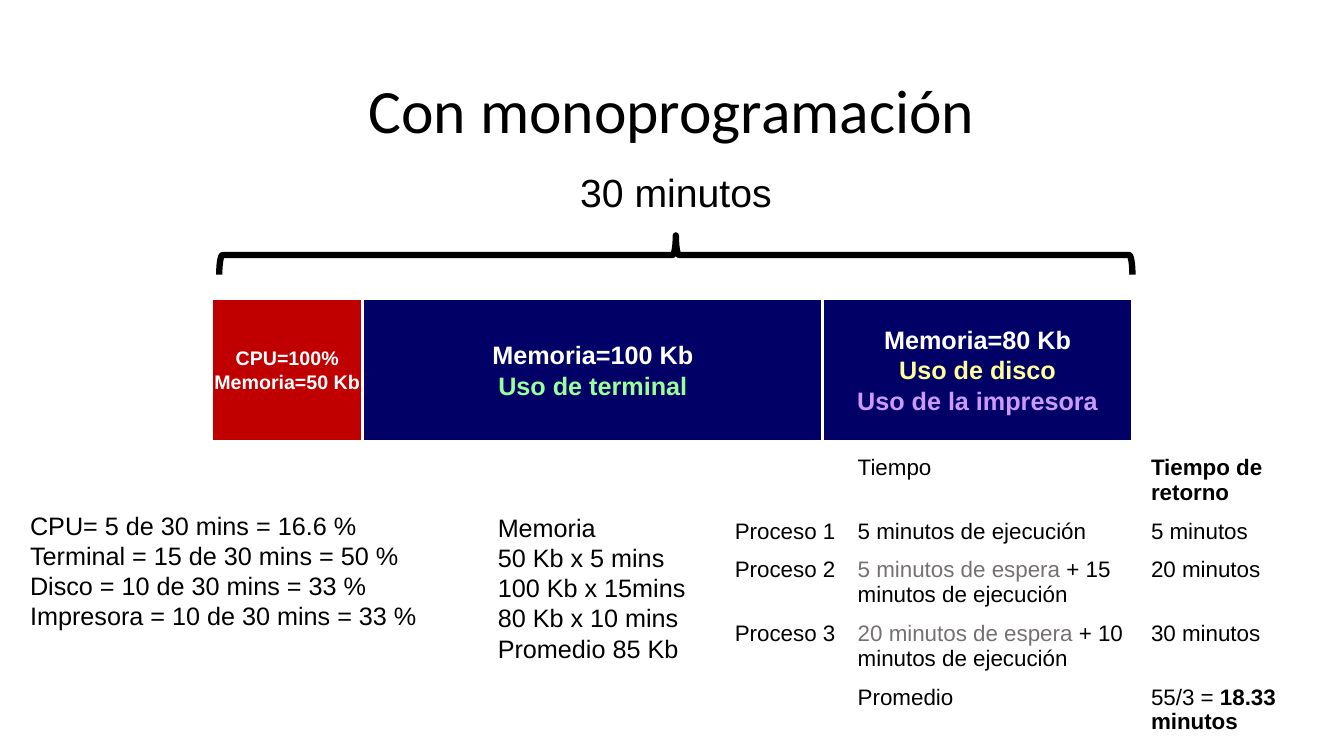
from pptx import Presentation
from pptx.dml.color import RGBColor
from pptx.enum.shapes import MSO_SHAPE
from pptx.enum.text import MSO_ANCHOR, MSO_AUTO_SIZE, PP_ALIGN
from pptx.util import Pt

RECT, BRACE = MSO_SHAPE.RECTANGLE, MSO_SHAPE.RIGHT_BRACE
LEFT, CENTER = PP_ALIGN.LEFT, PP_ALIGN.CENTER
MIDDLE, GROW = MSO_ANCHOR.MIDDLE, MSO_AUTO_SIZE.SHAPE_TO_FIT_TEXT
BLACK, WHITE, RED, NAVY, GRAY = "000000", "FFFFFF", "C00000", "000066", "767171"

BAR_LEFT, BAR_TOP, BAR_HEIGHT = 151.2, 213.1, 102.2
BARS = [
    (108, RED, 14, [("CPU=100%", WHITE), ("Memoria=50 Kb", WHITE)]),
    (328.6, NAVY, 18, [("Memoria=100 Kb", WHITE), ("Uso de terminal", "99FF99")]),
    (221, NAVY, 18, [("Memoria=80 Kb", WHITE), ("Uso de disco", "FFFF99"),
                     ("Uso de la impresora", "CC99FF")]),
]
USAGE = ["CPU= 5 de 30 mins = 16.6 %", "Terminal = 15 de 30 mins = 50 %",
         "Disco = 10 de 30 mins = 33 %", "Impresora = 10 de 30 mins = 33 %"]
MEMORY = ["Memoria", "50 Kb x 5 mins", "100 Kb x 15mins", "80 Kb x 10 mins",
          "Promedio 85 Kb"]
TIMES = [
    ["", "Tiempo", [("Tiempo de retorno", BLACK, True)]],
    ["Proceso 1", "5 minutos de ejecución", "5 minutos"],
    ["Proceso 2", [("5 minutos de espera", GRAY, False),
                   (" + 15 minutos de ejecución", BLACK, False)], "20 minutos"],
    ["Proceso 3", [("20 minutos de espera", GRAY, False),
                   (" + 10 minutos de ejecución", BLACK, False)], "30 minutos"],
    ["", "Promedio", [("55/3 = ", BLACK, False), ("18.33 minutos", BLACK, True)]],
]


def rgb(color):
    """Turn a hex string into a colour."""
    return RGBColor.from_string(color)


class Deck:
    """Hold the text style and the current slide."""

    font = "Arial"

    def __init__(self, width, height):
        """Open a presentation with one title-only slide."""
        self.prs = Presentation()
        self.prs.slide_width, self.prs.slide_height = Pt(width), Pt(height)
        self.s = self.prs.slides.add_slide(self.prs.slide_layouts[5])

    def style(self, r, size, color=BLACK, bold=False, font=None):
        """Format one run."""
        r.font.name, r.font.size, r.font.bold = font or self.font, Pt(size), bold
        r.font.color.rgb = rgb(color)

    def title(self, text, x, y, w, h):
        """Place and format the title placeholder."""
        sp = self.s.shapes.title
        sp.left, sp.top, sp.width, sp.height = Pt(x), Pt(y), Pt(w), Pt(h)
        tf = sp.text_frame
        tf.text, tf.vertical_anchor = text, MIDDLE
        p = tf.paragraphs[0]
        p.alignment, p.line_spacing = CENTER, 0.9
        self.style(p.runs[0], 44, font="Calibri")

    def lines(self, tf, lines, size, align, bold=False):
        """Write one paragraph per pair of text and colour."""
        tf.text = "\n".join(text for text, _ in lines)
        for p, (_, color) in zip(tf.paragraphs, lines):
            p.alignment = align
            self.style(p.runs[0], size, color, bold)

    def text(self, lines, x, y, w, h, size=18, align=LEFT, wrap=False):
        """Add a text box."""
        tf = self.s.shapes.add_textbox(Pt(x), Pt(y), Pt(w), Pt(h)).text_frame
        tf.word_wrap, tf.auto_size = wrap, GROW
        self.lines(tf, [(line, BLACK) for line in lines], size, align)

    def shape(self, kind, x, y, w, h, line, weight, fill=None):
        """Add a preset shape with an outline."""
        sp = self.s.shapes.add_shape(kind, Pt(x), Pt(y), Pt(w), Pt(h))
        sp.shadow.inherit = False
        sp.line.color.rgb, sp.line.width = rgb(line), Pt(weight)
        if fill:
            sp.fill.solid()
            sp.fill.fore_color.rgb = rgb(fill)
        else:
            sp.fill.background()
        return sp

    def bar(self, x, y, w, h, fill, size, lines):
        """Add a labelled block of the timeline."""
        tf = self.shape(RECT, x, y, w, h, WHITE, 2.25, fill).text_frame
        tf.word_wrap, tf.vertical_anchor = False, MIDDLE
        self.lines(tf, lines, size, CENTER, True)

    def table(self, rows, x, y, widths, heights, size):
        """Add a plain table whose cells hold text or formatted runs."""
        frame = self.s.shapes.add_table(len(rows), len(widths), Pt(x), Pt(y),
                                        Pt(sum(widths)), Pt(sum(heights)))
        table = frame.table
        table.first_row = table.horz_banding = False
        for column, width in zip(table.columns, widths):
            column.width = Pt(width)
        for row, height, contents in zip(table.rows, heights, rows):
            row.height = Pt(height)
            for cell, content in zip(row.cells, contents):
                cell.fill.background()
                p = cell.text_frame.paragraphs[0]
                p.alignment, p.font.size = LEFT, Pt(size)
                if isinstance(content, str):
                    content = [(content, BLACK, False)] if content else []
                for text, color, bold in content:
                    r = p.add_run()
                    r.text = text
                    self.style(r, size, color, bold)


def main():
    """Build the slide."""
    deck = Deck(960, 540)
    deck.title("Con monoprogramación", 66, 28.8, 828, 104.4)
    x = BAR_LEFT
    for width, fill, size, lines in BARS:
        deck.bar(x, BAR_TOP, width, BAR_HEIGHT, fill, size, lines)
        x += width
    deck.text(USAGE, 14.4, 360.7, 306.7, 115.2, wrap=True)
    deck.text(MEMORY, 348.5, 362.2, 148.3, 115.2)
    brace = deck.shape(BRACE, 468.7, -144, 28.1, 652.3, BLACK, 4.5)
    brace.rotation = 270
    deck.text(["30 minutos"], 406.1, 116.6, 153.4, 41, 28, CENTER)
    deck.table(TIMES, 517.7, 321.8, [87.8, 209.5, 130.3],
               [45.5, 27, 45.5, 45.5, 45.5], 16)
    deck.prs.save("out.pptx")


if __name__ == "__main__":
    main()
